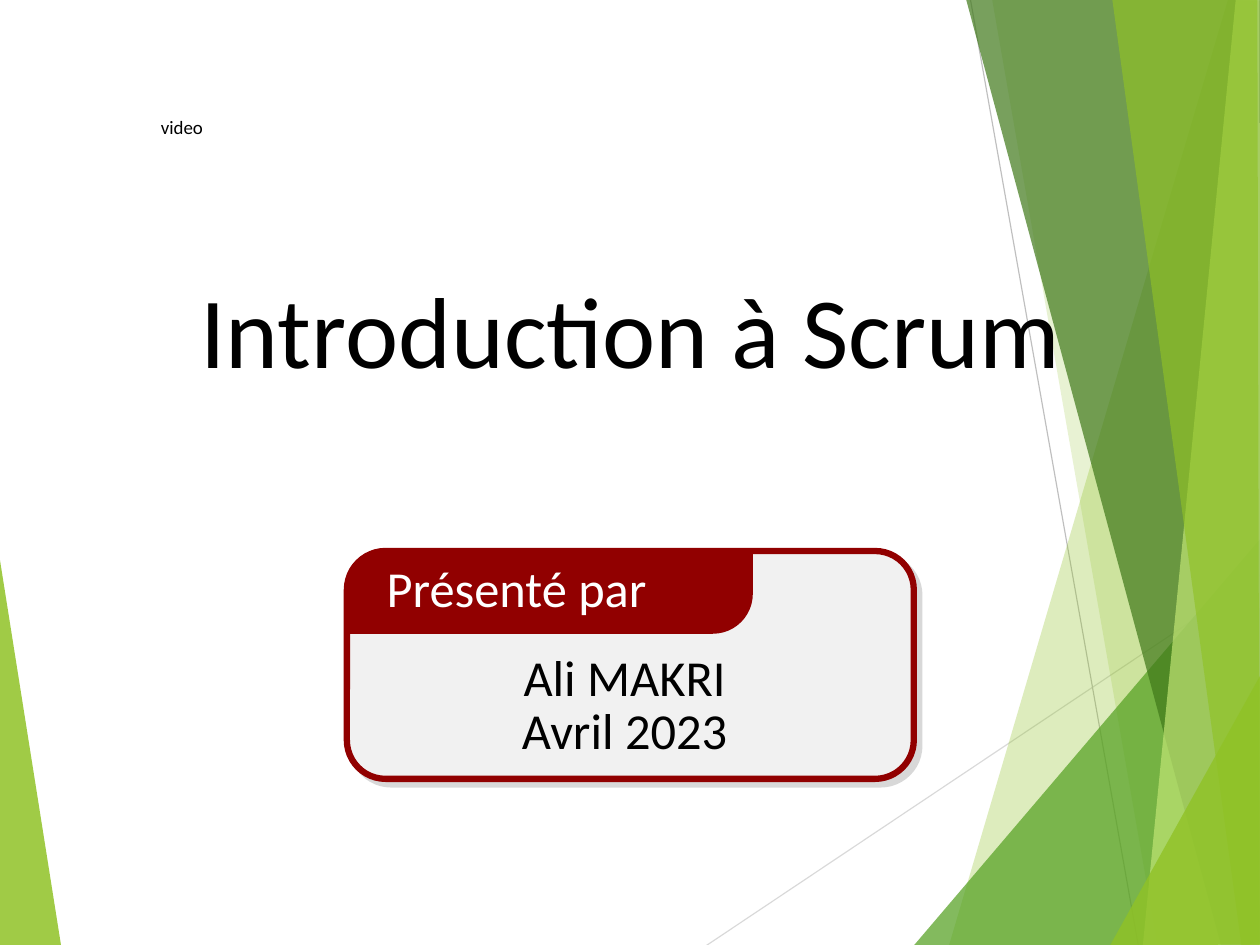
from lxml.etree import SubElement
from pptx import Presentation
from pptx.dml.color import RGBColor
from pptx.enum.shapes import MSO_CONNECTOR, MSO_SHAPE
from pptx.enum.text import MSO_ANCHOR, MSO_AUTO_SIZE, PP_ALIGN
from pptx.oxml import parse_xml
from pptx.oxml.ns import nsdecls, qn
from pptx.util import Emu, Pt

PX = 9144  # 100 px to the inch
WIDE, HIGH = Emu(10161588), Emu(7621588)  # exact 4:3 page

LIME = RGBColor(0x90, 0xC2, 0x26)
GREEN = RGBColor(0x54, 0xA0, 0x21)
DARK = RGBColor(0x3F, 0x78, 0x19)
PALE = RGBColor(0xC0, 0xE4, 0x74)
RED = RGBColor(0x91, 0x00, 0x00)
SMOKE = RGBColor(0xF1, 0xF1, 0xF1)
SILVER = RGBColor(0xD9, 0xD9, 0xD9)
GREY = RGBColor(0xBF, 0xBF, 0xBF)
BLACK = RGBColor(0, 0, 0)
WHITE = RGBColor(0xFF, 0xFF, 0xFF)

# Start, end, colour
RAYS = [
    ((623, 834), (1112, 507), SILVER),
    ((856, 0), (1004, 834), GREY),
]
# Corners, colour, opacity in percent
LEFT = ([(-1, 488), (54, 835), (-1, 834)], LIME, 85)
FACETS = [
    ([(1083, 0), (837, 834), (1113, 835), (1112, 1)], LIME, 30),
    ([(875, -1), (1021, 834), (1112, 834), (1112, -1)], LIME, 20),
    ([(806, 834), (1111, 476), (1112, 834)], GREEN, 72),
    ([(852, -1), (1077, 834), (1112, 833), (1112, -1)], DARK, 70),
    ([(1090, -1), (1008, 834), (1112, 834), (1111, -1)], PALE, 70),
    ([(981, -1), (1095, 834), (1111, 834), (1109, -1)], LIME, 65),
    ([(979, 834), (1112, 595), (1112, 833)], LIME, 80),
]


def scale(*nums):
    return [num * PX for num in nums]


def apply(item, style):
    for name, value in style.items():
        setattr(item, name, value)


def paint(shape, color):
    shape.shadow.inherit = False
    shape.fill.solid()
    shape.fill.fore_color.rgb = color
    shape.line.fill.background()


def add_facet(slide, points, color, alpha):
    pen = slide.shapes.build_freeform(*points[0], scale=PX)
    pen.add_line_segments(points[1:], close=True)
    shape = pen.convert_to_shape()
    paint(shape, color)
    tint = shape.fill._xPr.find(qn("a:solidFill"))[0]
    SubElement(tint, qn("a:alpha"), val=str(alpha * 1000))


def add_ray(slide, start, end, color):
    ray = slide.shapes.add_connector(
        MSO_CONNECTOR.STRAIGHT, *scale(*start, *end))
    ray.line.color.rgb = color
    ray.line.width = Pt(0.75)
    SubElement(ray._element.spPr, qn("a:effectLst"))


def add_block(slide, kind, box, color, curve):
    shape = slide.shapes.add_shape(kind, *scale(*box))
    paint(shape, color)
    shape.adjustments[0] = curve
    return shape


def add_shade(shape):
    props = shape._element.spPr
    props.remove(props.find(qn("a:effectLst")))
    props.append(parse_xml(
        f'<a:effectLst {nsdecls("a")}>'
        f'<a:outerShdw dist="{Pt(5)}" dir="2700000" algn="tl" rotWithShape="0">'
        '<a:srgbClr val="808080"><a:alpha val="30000"/></a:srgbClr>'
        '</a:outerShdw></a:effectLst>'))


def add_text(slide, box, lines, size, color, pads, space, align, frame_style):
    frame = slide.shapes.add_textbox(*scale(*box)).text_frame
    sides = ("margin_left", "margin_top", "margin_right", "margin_bottom")
    apply(frame, dict(zip(sides, scale(*pads))))
    apply(frame, frame_style)
    frame.text = "\n".join(lines)
    for para in frame.paragraphs:
        apply(para, {"alignment": align, "line_spacing": space})
        apply(para.font, {"name": "Calibri", "size": Pt(size)})
        para.font.color.rgb = color


def main():
    deck = Presentation()
    apply(deck, {"slide_width": WIDE, "slide_height": HIGH})
    slide = deck.slides.add_slide(deck.slide_layouts[6])

    # Backdrop
    add_facet(slide, *LEFT)
    for ray in RAYS:
        add_ray(slide, *ray)
    for facet in FACETS:
        add_facet(slide, *facet)

    # Card and its tab
    card = add_block(slide, MSO_SHAPE.ROUNDED_RECTANGLE,
                     (306, 486, 500, 201), SMOKE, 0.17)
    card.line.color.rgb = RED
    card.line.width = Pt(4)
    add_shade(card)
    add_block(slide, MSO_SHAPE.ROUND_2_DIAG_RECTANGLE,
              (304, 484, 360, 75), RED, 0.47)

    # Wording
    middle = {"word_wrap": True, "vertical_anchor": MSO_ANCHOR.MIDDLE}
    top = {"word_wrap": True, "vertical_anchor": MSO_ANCHOR.TOP}
    grow = {"word_wrap": False, "auto_size": MSO_AUTO_SIZE.SHAPE_TO_FIT_TEXT}
    add_text(slide, (385, 571, 332, 100), ["Ali MAKRI", "Avril 2023"],
             32, BLACK, (0, 6, 0, 0), 0.87, PP_ALIGN.CENTER, middle)
    add_text(slide, (335, 488, 299, 68), ["Présenté par"],
             32, WHITE, (6, 11, 6, 6), 0.87, PP_ALIGN.LEFT, top)
    add_text(slide, (21, 240, 1070, 104), ["Introduction à Scrum"],
             64, BLACK, (0, 11, 0, 0), 0.87, PP_ALIGN.CENTER, middle | grow)
    add_text(slide, (132, 102, 70, 24), ["video"],
             12, BLACK, (10, 5, 10, 5), 0.71, PP_ALIGN.LEFT, top | grow)

    deck.save("out.pptx")


if __name__ == "__main__":
    main()
